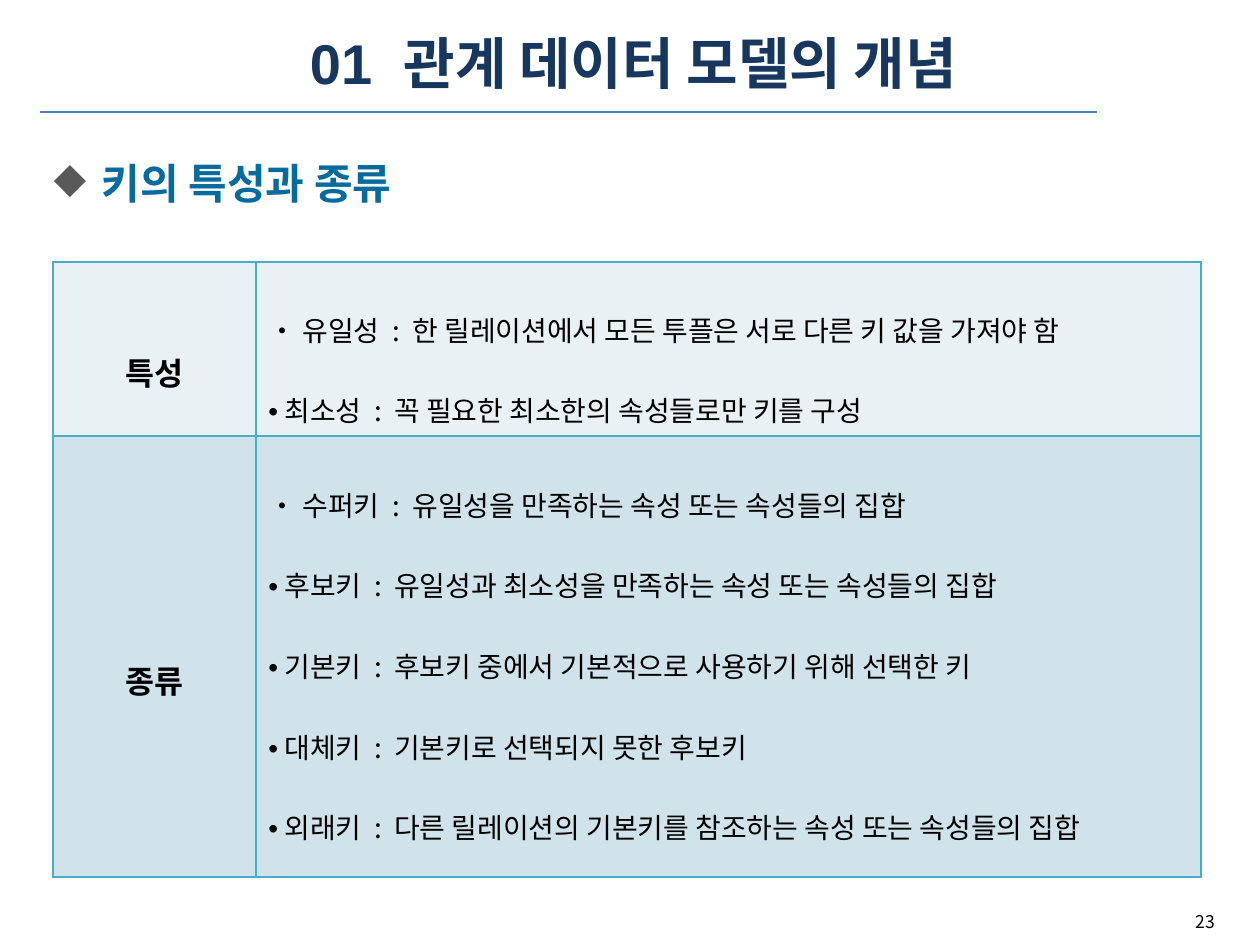
from dataclasses import dataclass

from lxml.etree import SubElement
from pptx import Presentation
from pptx.dml.color import RGBColor
from pptx.enum.shapes import MSO_CONNECTOR
from pptx.enum.text import MSO_ANCHOR, PP_ALIGN
from pptx.oxml.ns import qn
from pptx.util import Inches, Pt


@dataclass(frozen=True)
class Theme:
    latin: str = "Arial"
    korean: str = "Noto Sans CJK KR"
    title_color: str = "17375E"
    heading_color: str = "056A9D"
    marker_color: str = "595959"
    text_color: str = "000000"
    rule_color: str = "4B7EBC"
    border_color: str = "4BACC6"
    title_size: int = 32
    heading_size: int = 24
    label_size: int = 18
    item_size: int = 16
    number_size: int = 10


THEME = Theme()
ROW_FILLS = ("E9F1F5", "D0E3EA")
KEY_ROWS = (
    ("특성", (
        ("유일성", "한 릴레이션에서 모든 투플은 서로 다른 키 값을 가져야 함"),
        ("최소성", "꼭 필요한 최소한의 속성들로만 키를 구성"),
    )),
    ("종류", (
        ("수퍼키", "유일성을 만족하는 속성 또는 속성들의 집합"),
        ("후보키", "유일성과 최소성을 만족하는 속성 또는 속성들의 집합"),
        ("기본키", "후보키 중에서 기본적으로 사용하기 위해 선택한 키"),
        ("대체키", "기본키로 선택되지 못한 후보키"),
        ("외래키", "다른 릴레이션의 기본키를 참조하는 속성 또는 속성들의 집합"),
    )),
)


def apply_format(target, values):
    for name, value in values.items():
        setattr(target, name, value)


def add_run(paragraph, text, size, color=THEME.text_color, bold=False,
            latin=THEME.korean, east_asian=THEME.korean, tracking=0):
    run = paragraph.add_run()
    run.text = text
    apply_format(run.font, {"size": Pt(size), "bold": bold, "name": latin})
    run.font.color.rgb = RGBColor.from_string(color)
    properties = run.font._element
    SubElement(properties, qn("a:ea")).set("typeface", east_asian)
    if tracking:
        properties.set("spc", str(round(tracking * 100)))


def add_text_frame(slide, box, **values):
    frame = slide.shapes.add_textbox(*map(Inches, box)).text_frame
    apply_format(frame, {"word_wrap": True, **values})
    return frame


def add_title(slide, box):
    frame = add_text_frame(slide, box, vertical_anchor=MSO_ANCHOR.MIDDLE)
    title = frame.paragraphs[0]
    title.alignment = PP_ALIGN.CENTER
    style = {"size": THEME.title_size, "color": THEME.title_color,
             "bold": True, "latin": THEME.latin}
    add_run(title, "01", **style)
    add_run(title, " ", tracking=8.9, **style)
    add_run(title, "관계 데이터 모델의 개념", **style)


def add_title_rule(slide, left, top, width):
    ends = map(Inches, (left, top, left + width, top))
    rule = slide.shapes.add_connector(MSO_CONNECTOR.STRAIGHT, *ends)
    rule.line.color.rgb = RGBColor.from_string(THEME.rule_color)
    rule.line.width = Pt(0.75)
    SubElement(rule._element.spPr, qn("a:effectLst"))


def add_heading(slide, box):
    frame = add_text_frame(slide, box, margin_top=0)
    heading = frame.paragraphs[0]
    properties = heading._p.get_or_add_pPr()
    indent = Inches(0.38)
    properties.set("marL", str(indent))
    properties.set("indent", str(-indent))
    marker_color = SubElement(properties, qn("a:buClr"))
    SubElement(marker_color, qn("a:srgbClr")).set("val", THEME.marker_color)
    SubElement(properties, qn("a:buChar")).set("char", "◆")
    add_run(heading, "키의 특성과 종류", THEME.heading_size,
            THEME.heading_color, bold=True, latin=THEME.latin)


def format_cell(cell, fill):
    cell.vertical_anchor = MSO_ANCHOR.MIDDLE
    properties = cell._tc.get_or_add_tcPr()
    for side in ("lnL", "lnR", "lnT", "lnB"):
        border = SubElement(properties, qn(f"a:{side}"), w=str(Pt(1)))
        solid = SubElement(border, qn("a:solidFill"))
        SubElement(solid, qn("a:srgbClr")).set("val", THEME.border_color)
    cell.fill.solid()
    cell.fill.fore_color.rgb = RGBColor.from_string(fill)


def fill_label(cell, label):
    paragraph = cell.text_frame.paragraphs[0]
    apply_format(paragraph, {"alignment": PP_ALIGN.CENTER, "line_spacing": 2.0})
    add_run(paragraph, label, THEME.label_size, bold=True)


def fill_items(cell, items):
    frame = cell.text_frame
    for index, (term, meaning) in enumerate(items):
        paragraph = frame.add_paragraph() if index else frame.paragraphs[0]
        paragraph.line_spacing = 2.0
        bullet_font = THEME.latin if index else THEME.korean
        add_run(paragraph, "•", THEME.item_size,
                latin=bullet_font, east_asian=bullet_font)
        add_run(paragraph, f" {term}", THEME.item_size)
        add_run(paragraph, " :", THEME.item_size, tracking=3.6)
        add_run(paragraph, f" {meaning}", THEME.item_size)


def add_key_table(slide, left, top, column_widths, row_heights):
    size = (sum(column_widths), sum(row_heights))
    table = slide.shapes.add_table(
        len(row_heights), len(column_widths), *map(Inches, (left, top, *size))
    ).table
    apply_format(table, {"first_row": False, "horz_banding": False})
    for column, width in zip(table.columns, column_widths):
        column.width = Inches(width)
    for index, (label, items) in enumerate(KEY_ROWS):
        table.rows[index].height = Inches(row_heights[index])
        label_cell, items_cell = table.rows[index].cells
        for cell in (label_cell, items_cell):
            format_cell(cell, ROW_FILLS[index])
        fill_label(label_cell, label)
        fill_items(items_cell, items)
    items_cell.margin_bottom = Inches(0.23)


def add_page_number(slide, box):
    number = add_text_frame(slide, box).paragraphs[0]
    number.alignment = PP_ALIGN.RIGHT
    add_run(number, "23", THEME.number_size)


def main():
    presentation = Presentation()
    apply_format(presentation, {"slide_width": Inches(10),
                                "slide_height": Inches(7.5)})
    slide = presentation.slides.add_slide(presentation.slide_layouts[6])
    add_page_number(slide, (0.18, 7.18, 9.56, 0.27))
    add_title_rule(slide, 0.32, 0.89, 8.39)
    add_title(slide, (0.33, 0.17, 9.4, 0.65))
    add_heading(slide, (0.33, 1.25, 9.35, 0.6))
    add_key_table(slide, 0.42, 2.08, (1.61, 7.5), (1.38, 3.5))
    presentation.save("out.pptx")


if __name__ == "__main__":
    main()
